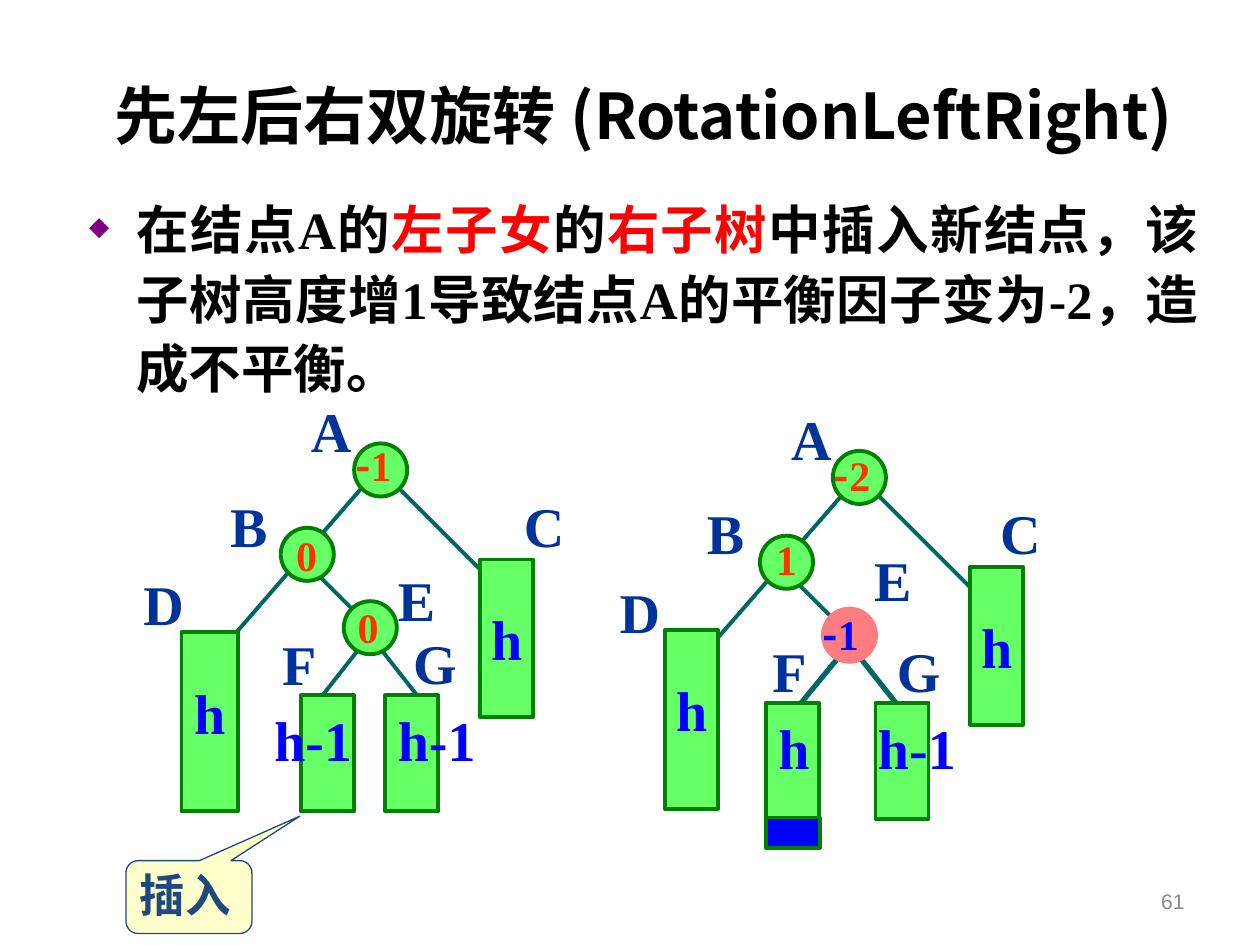
from lxml import etree
from pptx import Presentation
from pptx.dml.color import RGBColor
from pptx.enum.shapes import MSO_CONNECTOR, MSO_SHAPE
from pptx.enum.text import MSO_ANCHOR, MSO_AUTO_SIZE, PP_ALIGN
from pptx.oxml.ns import qn
from pptx.util import Cm, Pt

STRAIGHT = MSO_CONNECTOR.STRAIGHT
RECTANGLE, OVAL = MSO_SHAPE.RECTANGLE, MSO_SHAPE.OVAL
CALLOUT = MSO_SHAPE.ROUNDED_RECTANGULAR_CALLOUT
MIDDLE = MSO_ANCHOR.MIDDLE
FIT_TEXT = MSO_AUTO_SIZE.SHAPE_TO_FIT_TEXT
CENTER, RIGHT, JUSTIFY = PP_ALIGN.CENTER, PP_ALIGN.RIGHT, PP_ALIGN.JUSTIFY
SERIF, CJK_SERIF = "Times New Roman", "Noto Sans CJK SC"
GREEN, DARK_GREEN, TEAL = "66FF66", "008000", "006666"
BLUE, NAVY, ORANGE, PINK = "0000FF", "003399", "FF3300", "FF7C80"
NODE = 1.07


def rgb(value):
    return RGBColor.from_string(value)


def style_text(paragraph, size, color, name=SERIF, bold=True):
    font = paragraph.font
    font.size, font.bold, font.name = Pt(size), bold, name
    font.color.rgb = rgb(color)


prs = Presentation()
prs.slide_width, prs.slide_height = Cm(25.4), Cm(19.05)
slide = prs.slides.add_slide(prs.slide_layouts[6])
shapes = slide.shapes

title = shapes.add_textbox(Cm(1.55), Cm(0.71), Cm(22.86), Cm(3.2)).text_frame
title.word_wrap, title.vertical_anchor = True, MIDDLE
heading = title.paragraphs[0]
heading.text, heading.alignment = "先左后右双旋转 (RotationLeftRight)", CENTER
style_text(heading, 36, "000000", "Noto Sans CJK JP")

body = shapes.add_textbox(Cm(1.55), Cm(3.73), Cm(22.86), Cm(12.09)).text_frame
body.word_wrap = True
statement = body.paragraphs[0]
statement.alignment, statement.line_spacing = JUSTIFY, 1.1
indent = statement._p.get_or_add_pPr()
indent.set("marL", str(Cm(0.95)))
indent.set("indent", str(-Cm(0.95)))
bullet_color = etree.SubElement(indent, qn("a:buClr"))
etree.SubElement(bullet_color, qn("a:srgbClr"), val="800080")
etree.SubElement(indent, qn("a:buSzPct"), val="50000")
etree.SubElement(indent, qn("a:buChar"), char="◆")
style_text(statement, 30, "000000")
for words, color in [
    ("在结点A的", "000000"),
    ("左子女", "FF0000"),
    ("的", "000000"),
    ("右子树", "FF0000"),
    ("中插入新结点，该子树高度增1导致结点A的平衡因子变为-2，造成不平衡。", "000000"),
]:
    run = statement.add_run()
    run.text = words
    run.font.color.rgb = rgb(color)

page = shapes.add_textbox(Cm(18.21), Cm(17.65), Cm(5.92), Cm(1.02)).text_frame
page.word_wrap, page.vertical_anchor = True, MIDDLE
number = page.paragraphs[0]
number.text, number.alignment = "61", RIGHT
style_text(number, 12, "898989", "Arial", False)

callout = shapes.add_shape(CALLOUT, Cm(2.54), Cm(17.35), Cm(2.54), Cm(1.47))
callout.adjustments[0], callout.adjustments[1] = 0.88, -1.11
callout.shadow.inherit = False
callout.fill.solid()
callout.fill.fore_color.rgb = rgb("FFFFCC")
callout.line.color.rgb = rgb("1F497D")
callout.line.width = Pt(0.75)
insertion = shapes.add_textbox(Cm(2.57), Cm(17.35), Cm(2.51), Cm(1.37)).text_frame
insertion.word_wrap = True
insertion.paragraphs[0].text = "插入"
style_text(insertion.paragraphs[0], 26, "1F497D")

edges = [
    (7.57, 12.95, 8.41, 14.02, 2.25), (7.34, 12.95, 6.5, 14.02, 2.25),
    (7.98, 9.78, 9.88, 11.68, 2.25), (7.34, 9.78, 4.39, 13.18, 2.25),
    (6.3, 11.48, 7.57, 12.75, 2.25),
    (17.22, 13.11, 18.06, 14.17, 3), (17.02, 13.11, 16.15, 14.17, 3),
    (17.65, 9.93, 19.56, 11.84, 2.25), (17.02, 9.93, 14.05, 13.34, 2.25),
    (15.95, 11.63, 17.22, 12.9, 2.25),
]
for x1, y1, x2, y2, weight in edges:
    edge = shapes.add_connector(STRAIGHT, Cm(x1), Cm(y1), Cm(x2), Cm(y2))
    edge.line.color.rgb = rgb(TEAL)
    edge.line.width = Pt(weight)
    etree.SubElement(edge._element.spPr, qn("a:effectLst"))

circles = [(OVAL, x, y, NODE, NODE, GREEN, DARK_GREEN, "") for x, y in [
    (5.66, 10.64), (7.14, 8.94), (6.93, 12.12), (15.32, 10.8), (16.79, 9.09)]]
circles.append((OVAL, 16.59, 12.27, NODE, NODE, PINK, PINK, ""))
subtrees = [(RECTANGLE, x, y, w, h, GREEN, DARK_GREEN, height) for x, y, w, h, height in [
    (9.68, 11.28, NODE, 3.18, "h"), (3.66, 12.75, 1.14, 3.61, "h"),
    (6.07, 14.02, NODE, 2.34, ""), (7.77, 14.02, NODE, 2.34, ""),
    (19.56, 11.43, NODE, 3.18, "h"), (13.41, 12.7, NODE, 3.61, "h"),
    (15.44, 14.17, NODE, 2.34, ""), (17.65, 14.17, NODE, 2.34, "")]]
subtrees.append((RECTANGLE, 15.44, 16.48, 1.09, 0.61, BLUE, DARK_GREEN, ""))
for preset, x, y, w, h, fill, outline, height in circles + subtrees:
    part = shapes.add_shape(preset, Cm(x), Cm(y), Cm(w), Cm(h))
    part.shadow.inherit = False
    part.fill.solid()
    part.fill.fore_color.rgb = rgb(fill)
    part.line.color.rgb = rgb(outline)
    part.line.width = Pt(2.25)
    if height:
        part.text_frame.word_wrap = False
        part.text_frame.vertical_anchor = MIDDLE
        caption = part.text_frame.paragraphs[0]
        caption.text, caption.alignment = height, CENTER
        if h > 3.5:
            caption.line_spacing = 0.6
        style_text(caption, 32, BLUE)

label_widths = {"A": 1.32, "B": 1.24, "C": 1.32, "D": 1.32, "E": 1.24, "F": 1.19,
                "G": 1.37, "h": 1.14, "h-1": 2.08}
balance_widths = {"0": 0.91, "1": 0.91, "-1": 1.42, "-2": 1.42}
names = [
    ("A", 6.02, 7.87), ("B", 4.39, 9.78), ("C", 10.31, 9.78), ("D", 2.64, 11.35),
    ("E", 7.77, 11.28), ("F", 5.44, 12.57), ("G", 8.08, 12.55),
    ("A", 15.7, 8.03), ("B", 14, 9.93), ("C", 19.91, 9.93), ("D", 12.24, 11.51),
    ("E", 17.37, 10.87), ("F", 15.32, 12.7), ("G", 17.83, 12.7),
]
heights = [("h-1", 7.77, 14.1), ("h-1", 5.28, 14.1), ("h-1", 17.45, 14.25), ("h", 15.44, 14.25)]
balances = [("-1", 6.91, 8.74), ("0", 5.72, 10.54), ("0", 6.96, 12.01),
            ("-2", 16.56, 8.94), ("1", 15.39, 10.64)]
changed_balance = [("-1", 16.33, 12.14)]
for group, size, color, widths, box_height in [
    (names, 32, NAVY, label_widths, 1.63),
    (heights, 32, BLUE, label_widths, 1.63),
    (balances, 24, ORANGE, balance_widths, 1.27),
    (changed_balance, 24, BLUE, balance_widths, 1.27),
]:
    for words, x, y in group:
        label = shapes.add_textbox(Cm(x), Cm(y), Cm(widths[words]), Cm(box_height)).text_frame
        label.word_wrap, label.auto_size = False, FIT_TEXT
        line = label.paragraphs[0]
        style_text(line, size, color)
        if words.startswith("-"):
            minus = line.add_run()
            minus.text, minus.font.name = "-", CJK_SERIF
            words = words[1:]
        line.add_run().text = words

prs.save("out.pptx")
